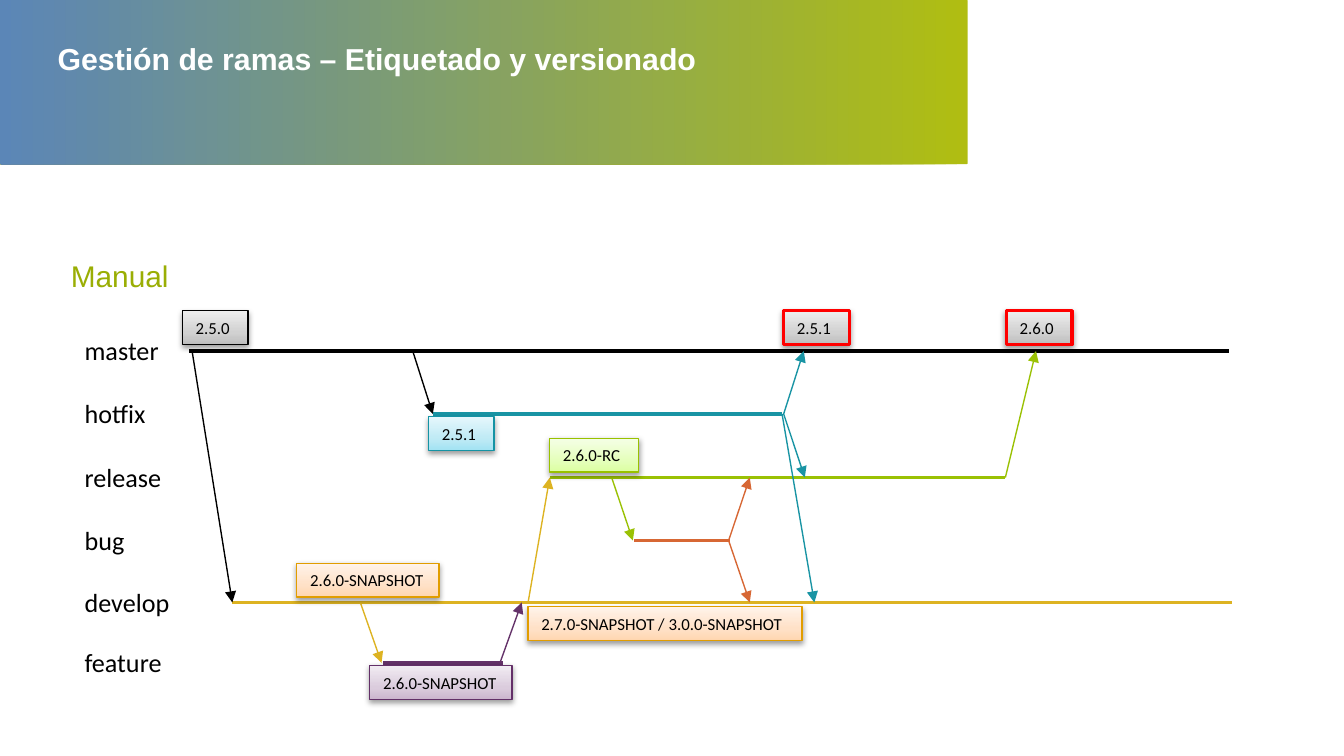
"""Draw a slide of release branches with their version tags."""
import pptx
import pptx.dml.color
import pptx.enum.shapes
import pptx.enum.text
import pptx.oxml.ns
import pptx.util
from lxml import etree

Cm = pptx.util.Cm
Pt = pptx.util.Pt
qn = pptx.oxml.ns.qn
Shape = pptx.enum.shapes.MSO_SHAPE
Anchor = pptx.enum.text.MSO_ANCHOR

LANES = {
    "master": (6.63, 3.58, 23.22, "000000"),
    "hotfix": (7.82, 8.18, 14.78, "1994A4"),
    "release": (9.02, 10.39, 19, "9AC104"),
    "bug": (10.21, 11.99, 13.79, "D76734"),
    "develop": (11.38, 4.39, 23.29, "DDB322"),
    "feature": (12.52, 7.24, 9.5, "643269"),
}
ARROWS = [
    ("master", 7.8, "hotfix", 8.18),
    ("release", 11.56, "bug", 11.96),
    ("develop", 6.81, "feature", 7.21),
    ("hotfix", 14.81, "master", 15.19),
    ("master", 3.63, "develop", 4.39),
    ("hotfix", 14.81, "release", 15.21),
    ("hotfix", 14.78, "develop", 15.39),
    ("develop", 9.98, "release", 10.39),
    ("bug", 13.77, "release", 14.17),
    ("bug", 13.77, "develop", 14.17),
    ("release", 19, "master", 19.58),
    ("feature", 9.45, "develop", 9.86),
]
GREY = ("BDBDBD", "D1D1D1", "EEEEEE")
PEACH = ("FFD6AF", "FFE1C7", "FFF3EA")
LILAC = ("CCB6CF", "DBCCDD", "F1ECF2")
LIME = ("DBFFA0", "E5FFBC", "F5FFE6")
AQUA = ("A2E3F3", "BFEAF5", "E6F7FC")
TAGS = [
    ("2.6.0-SNAPSHOT", 6.99, 12.57, 2.69, LILAC, "633068", 0.75),
    ("2.6.0-SNAPSHOT", 5.61, 10.64, 2.69, PEACH, "E19D00", 0.75),
    ("2.5.0", 3.45, 5.87, 1.24, GREY, "000000", 0.75),
    ("2.6.0-RC", 10.39, 8.28, 1.68, LIME, "99C100", 0.75),
    ("2.6.0", 19.02, 5.87, 1.24, GREY, "FF0000", 1.75),
    ("2.5.1", 8.1, 7.87, 1.24, AQUA, "1593A4", 0.75),
    ("2.5.1", 14.81, 5.87, 1.24, GREY, "FF0000", 1.75),
    ("2.7.0-SNAPSHOT / 3.0.0-SNAPSHOT", 9.98, 11.46, 5.18, PEACH, "E19D00", 0.75),
]


def tint(color, hue):
    """Set a colour from a hex string."""
    color.rgb = pptx.dml.color.RGBColor.from_string(hue)


def node(top, tag, **attrs):
    """Add an XML child and return it."""
    return etree.SubElement(top, qn(tag), {key: str(val) for key, val in attrs.items()})


def write(shape, text, size=14, font="Calibri", hue="000000", bold=False, anchor=Anchor.TOP):
    """Write one left-aligned line of text in a shape."""
    frame = shape.text_frame
    frame.word_wrap = True
    frame.margin_right = 0
    frame.vertical_anchor = anchor
    line = frame.paragraphs[0]
    line.alignment = pptx.enum.text.PP_ALIGN.LEFT
    run = line.add_run()
    run.text = text
    run.font.size = Pt(size)
    run.font.name = font
    run.font.bold = bold
    tint(run.font.color, hue)


def label(slide, text, left, top, width, high, **look):
    """Add a text box."""
    box = slide.shapes.add_textbox(Cm(left), Cm(top), Cm(width), Cm(high))
    write(box, text, **look)


def blend(shape, stops, angle, alpha=100):
    """Fill a shape with a linear gradient."""
    shape.fill.gradient()
    shape.fill.gradient_angle = angle
    ramp = shape.element.spPr.find(qn("a:gradFill")).find(qn("a:gsLst"))
    for old in list(ramp):
        ramp.remove(old)
    for place, hue in stops:
        color = node(node(ramp, "a:gs", pos=place * 1000), "a:srgbClr", val=hue)
        if alpha < 100:
            node(color, "a:alpha", val=alpha * 1000)


def band(slide):
    """Add the header band."""
    shape = slide.shapes.add_shape(Shape.ROUNDED_RECTANGLE, 0, 0, Cm(18.29), Cm(3.1))
    shape.adjustments[0] = 0.007
    shape.shadow.inherit = False
    shape.line.fill.background()
    blend(shape, [(0, "AAB900"), (100, "4F7DB2")], 180, 92)


def link(slide, start, end, hue, width, arrow=False):
    """Add a straight line, with an arrowhead at its end if asked."""
    kind = pptx.enum.shapes.MSO_CONNECTOR.STRAIGHT
    line = slide.shapes.add_connector(kind, *map(Cm, start + end))
    line.line.width = Pt(width)
    tint(line.line.color, hue)
    if arrow:
        node(line.line._get_or_add_ln(), "a:tailEnd", type="triangle")
    node(line.element.spPr, "a:effectLst")


def tag(slide, text, left, top, width, hues, edge, weight):
    """Add a version tag with a soft shadow."""
    shape = slide.shapes.add_shape(Shape.RECTANGLE, Cm(left), Cm(top), Cm(width), Cm(0.64))
    blend(shape, zip((0, 35, 100), hues), 90)
    shape.line.width = Pt(weight)
    tint(shape.line.color, edge)
    shape.shadow.inherit = False
    glow = node(shape.element.spPr.find(qn("a:effectLst")), "a:outerShdw",
                blurRad=Pt(3.1), dist=Pt(1.6), dir=5400000, rotWithShape=0)
    node(node(glow, "a:srgbClr", val="000000"), "a:alpha", val=38000)
    write(shape, text, size=9, anchor=Anchor.MIDDLE)


def main():
    """Build and save the slide."""
    deck = pptx.Presentation()
    deck.slide_width, deck.slide_height = Cm(25.4), Cm(14.28)
    slide = deck.slides.add_slide(deck.slide_layouts[6])
    band(slide)
    label(slide, "Manual", 1.09, 4.75, 23.01, 0.89, size=16, font="Arial", hue="9AAE04")
    label(slide, "Gestión de ramas – Etiquetado y versionado", 0.84, 0.64, 16.61, 0.89,
          size=16.2, font="Arial", hue="FFFFFF", bold=True)
    for name, (row, start, end, hue) in LANES.items():
        link(slide, (start, row), (end, row), hue, 2)
        label(slide, name, 1.35, row - 0.43, start - 1.35, 0.86)
    for source, start, goal, end in ARROWS:
        link(slide, (start, LANES[source][0]), (end, LANES[goal][0]), LANES[source][3], 0.75, True)
    for item in TAGS:
        tag(slide, *item)
    deck.save("out.pptx")


if __name__ == "__main__":
    main()
